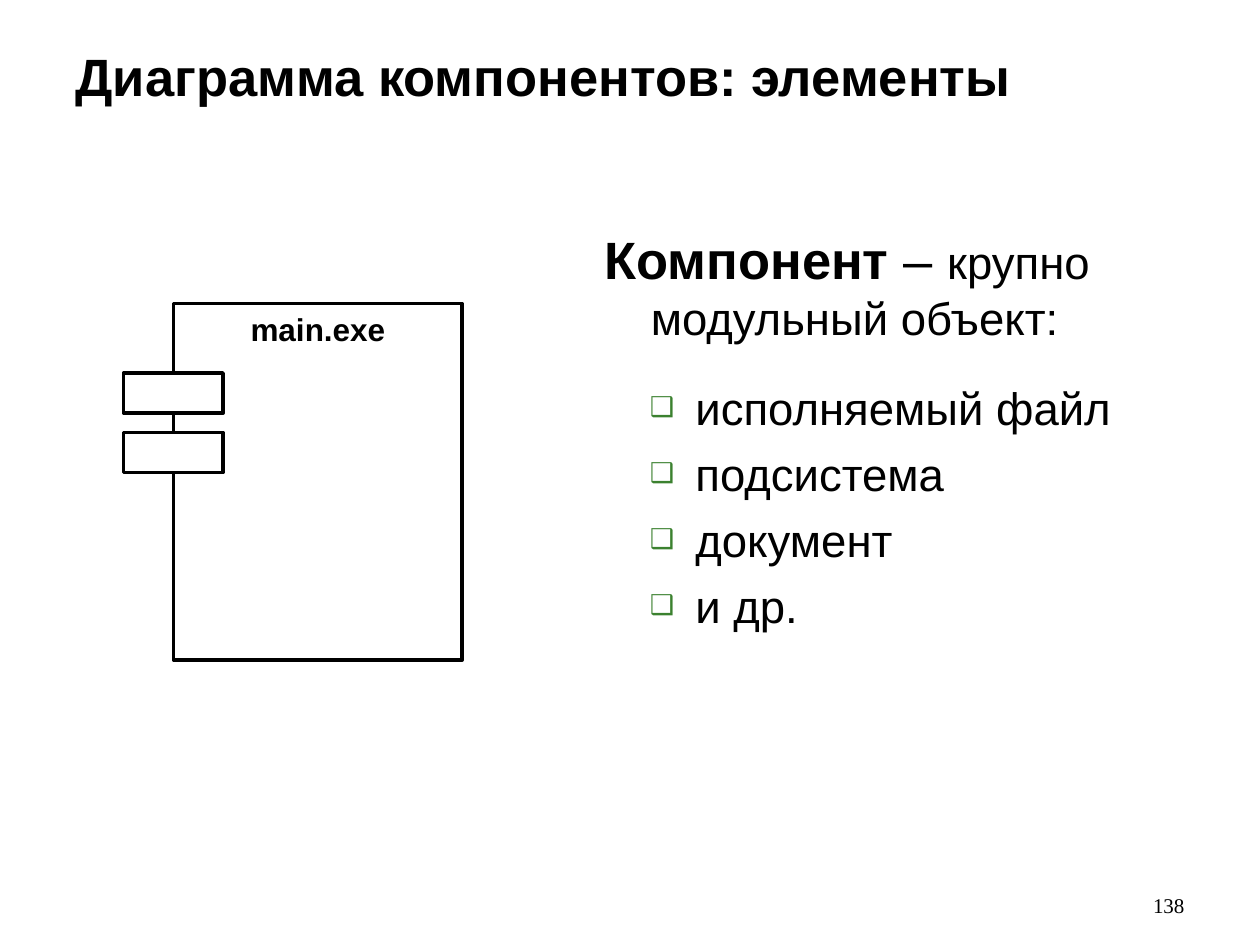
"""Build the slide on component diagram elements."""
from dataclasses import dataclass
from typing import Any

from lxml import etree
from pptx import Presentation
from pptx.dml.color import RGBColor
from pptx.enum import shapes, text
from pptx.oxml.ns import qn
from pptx.util import Pt


def colour(value):
    return RGBColor.from_string(value)


@dataclass
class Sketch:
    page: Any
    font: str = "Arial"
    ink: str = "000000"
    paper: str = "FFFFFF"
    accent: str = "3B812F"

    def style(self, font, size, bold=False, name=None):
        font.name = name or self.font
        font.size = Pt(size)
        font.bold = bold
        font.color.rgb = colour(self.ink)

    def frame(self, shape, anchor=text.MSO_ANCHOR.TOP, wrap=True):
        frame = shape.text_frame
        frame.auto_size = text.MSO_AUTO_SIZE.NONE
        frame.vertical_anchor = anchor
        frame.word_wrap = wrap
        return frame

    def place(self, shape, left, top, width, height):
        shape.left, shape.top = Pt(left), Pt(top)
        shape.width, shape.height = Pt(width), Pt(height)

    def title(self, words, *bounds):
        box = self.page.shapes.title
        self.place(box, *bounds)
        para = self.frame(box).paragraphs[0]
        para.text = words
        para.alignment = text.PP_ALIGN.LEFT
        self.style(para.font, 30, True)

    def indent(self, para, margin, hanging, bullet=None):
        props = para._p.get_or_add_pPr()
        props.set("marL", str(Pt(margin)))
        props.set("indent", str(-Pt(hanging)))
        if bullet is None:
            etree.SubElement(props, qn("a:buNone"))
            return
        tint = etree.SubElement(props, qn("a:buClr"))
        etree.SubElement(tint, qn("a:srgbClr"), val=self.accent)
        etree.SubElement(props, qn("a:buSzPct"), val="60000")
        etree.SubElement(props, qn("a:buChar"), char=bullet)

    def definition(self, spans, items, *bounds):
        box = self.page.placeholders[1]
        self.place(box, *bounds)
        frame = self.frame(box)
        para = frame.paragraphs[0]
        self.indent(para, 27, 26.5)
        para.space_before = Pt(0)
        for words, size, bold in spans:
            span = para.add_run()
            span.text = words
            self.style(span.font, size, bold)
        for index, item in enumerate(items):
            para = frame.add_paragraph()
            para.text = item
            para.level = 1
            self.indent(para, 52.5, 26, "❑")
            para.space_before = Pt(6.5 if index else 20.5)
            self.style(para.font, 26)

    def rectangle(self, *bounds, fill=None, label=None):
        box = self.page.shapes.add_shape(
            shapes.MSO_SHAPE.RECTANGLE, *map(Pt, bounds))
        box.shadow.inherit = False
        if fill:
            box.fill.solid()
            box.fill.fore_color.rgb = colour(fill)
        else:
            box.fill.background()
        box.line.color.rgb = colour(self.ink)
        box.line.width = Pt(2)
        if label:
            para = self.frame(box, wrap=False).paragraphs[0]
            para.text = label
            para.alignment = text.PP_ALIGN.CENTER
            self.style(para.font, 18, True)

    def page_number(self, number, *bounds):
        box = self.page.shapes.add_textbox(*map(Pt, bounds))
        para = self.frame(box, text.MSO_ANCHOR.BOTTOM).paragraphs[0]
        para.text = number
        para.alignment = text.PP_ALIGN.RIGHT
        self.style(para.font, 12, name="Times New Roman")


def main():
    deck = Presentation()
    deck.slide_width, deck.slide_height = Pt(720), Pt(540)
    sketch = Sketch(deck.slides.add_slide(deck.slide_layouts[1]))
    sketch.page_number("138", 643.7, 491.8, 40.3, 36)
    sketch.definition(
        [("Компонент", 30, True), (" – ", 30, False),
         ("крупно модульный объект:", 26, False)],
        ["исполняемый файл", "подсистема", "документ", "и др."],
        337.7, 126, 346.3, 356.4)
    sketch.title("Диаграмма компонентов: элементы", 36, 21.6, 648, 89.3)
    sketch.rectangle(99.2, 173.5, 164.9, 203.8, label="main.exe")
    for row in range(2):
        sketch.rectangle(70.6, 213.1 + row * 34, 56.9, 23, fill=sketch.paper)
    deck.save("out.pptx")


if __name__ == "__main__":
    main()
